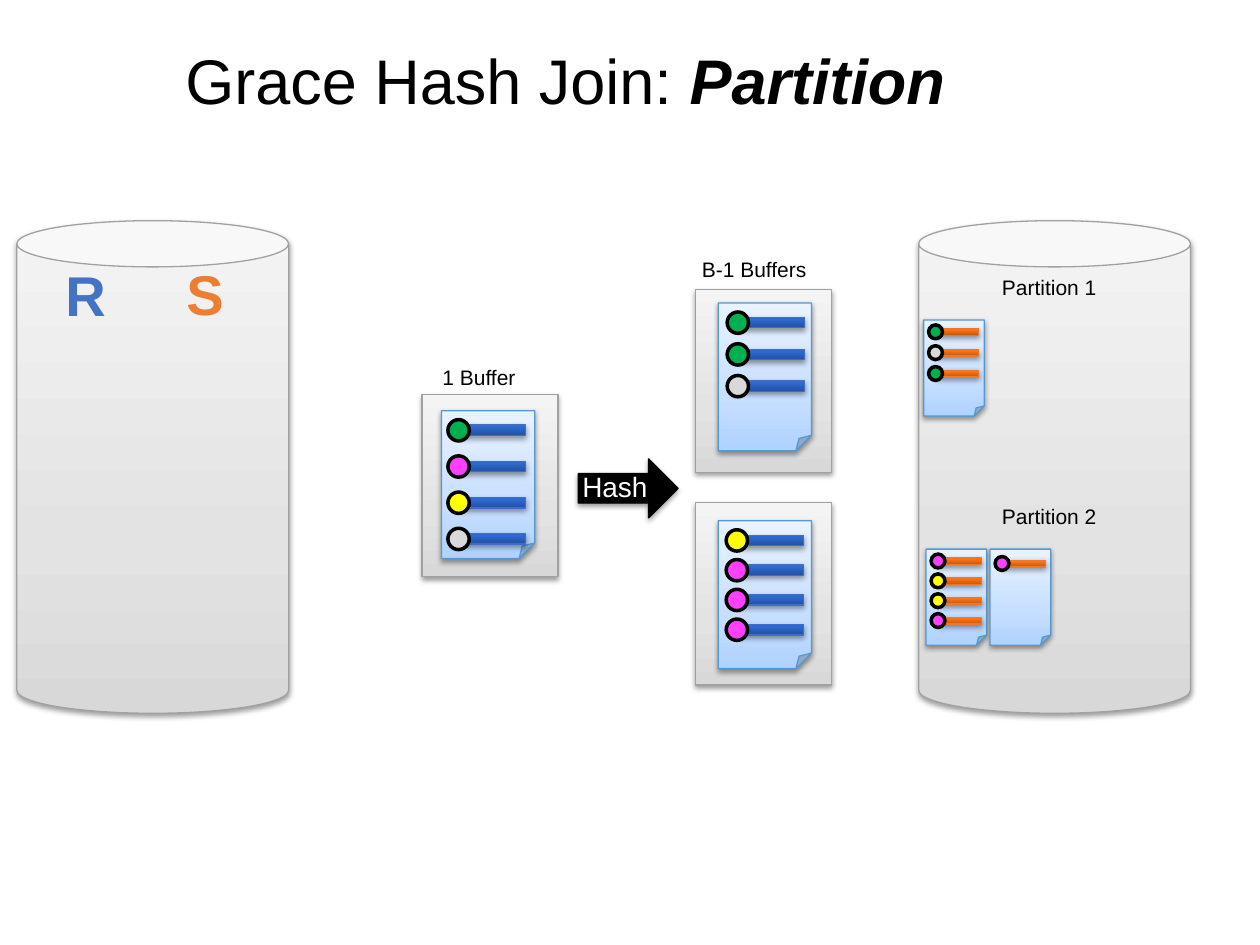
from lxml import etree
from pptx import Presentation
from pptx.dml.color import RGBColor
from pptx.enum.shapes import MSO_SHAPE
from pptx.enum.text import MSO_ANCHOR
from pptx.oxml.ns import qn
from pptx.util import Cm, Pt

CAN, RECT, OVAL = MSO_SHAPE.CAN, MSO_SHAPE.RECTANGLE, MSO_SHAPE.OVAL
PAGE, ARROW = MSO_SHAPE.FOLDED_CORNER, MSO_SHAPE.RIGHT_ARROW
MIDDLE = MSO_ANCHOR.MIDDLE
rgb = RGBColor.from_string

BLACK, WHITE = "000000", "FFFFFF"
GREEN, PINK, YELLOW, GRAY = "00B050", "FF40FF", "FFFF00", "D9D9D9"
# Each paint is gradient stops (percent, colour) from bottom to top, then the line colour
SILVER = [(0, "D8D8D8"), (35, "E3E3E3"), (100, "F4F4F4")], "A1A1A1"
PAPER = [(0, "AFD2FF"), (35, "C6DEFF"), (100, "E9F2FF")], "5698D3"
BLUE = [(0, "24509E"), (80, "2F69D0"), (100, "2C69D4")], "3F6EC3"
ORANGE = [(0, "C3580F"), (80, "FF7416"), (100, "FF7517")], "EC792B"

prs = Presentation()
prs.slide_width, prs.slide_height = Cm(25.4), Cm(19.05)
s = prs.slides.add_slide(prs.slide_layouts[6])


def add_shape(kind, x, y, w, h, paint, line_width=0.75, shadow=True):
    """Add a shape; paint is (fill, line), where fill is a colour or gradient stops."""
    fill, line = paint
    sp = s.shapes.add_shape(kind, Cm(x), Cm(y), Cm(w), Cm(h))
    sp.line.color.rgb = rgb(line)
    sp.line.width = Pt(line_width)
    if isinstance(fill, str):
        sp.fill.solid()
        sp.fill.fore_color.rgb = rgb(fill)
    else:
        sp.fill.gradient()
        sp.fill.gradient_angle = 90
        stops = sp.element.spPr.find(".//" + qn("a:gsLst"))
        stops.clear()
        for pos, color in fill:
            gs = etree.SubElement(stops, qn("a:gs"), pos=str(pos * 1000))
            etree.SubElement(gs, qn("a:srgbClr"), val=color)
    sp.shadow.inherit = False
    if shadow:
        effects = sp.element.spPr.find(qn("a:effectLst"))
        outer = etree.SubElement(effects, qn("a:outerShdw"), blurRad=str(Pt(3)),
                                 dist=str(Pt(1.6)), dir="5400000", rotWithShape="0")
        color = etree.SubElement(outer, qn("a:srgbClr"), val=BLACK)
        etree.SubElement(color, qn("a:alpha"), val="38000")
    return sp


def add_label(x, y, w, h, runs, size, color=BLACK, wrap=False):
    """Add a one-line text box; runs holds (text, bold, italic)."""
    tf = s.shapes.add_textbox(Cm(x), Cm(y), Cm(w), Cm(h)).text_frame
    tf.word_wrap = wrap
    tf.margin_left = tf.margin_right = tf.margin_top = tf.margin_bottom = Cm(0.13)
    tf.vertical_anchor = MIDDLE
    p = tf.paragraphs[0]
    for text, bold, italic in runs:
        r = p.add_run()
        r.text = text
        r.font.name, r.font.size = "Arial", Pt(size)
        r.font.bold, r.font.italic = bold, italic
        r.font.color.rgb = rgb(color)


# Disks
for x in (0.34, 18.52):
    sp = add_shape(CAN, x, 4.45, 5.48, 9.93, SILVER)
    sp.adjustments[0] = 0.17

# Memory buffers
for x, y in ((14.02, 5.84), (14.02, 10.13), (8.51, 7.95)):
    add_shape(RECT, x, y, 2.74, 3.68, SILVER)

# Pages: x, y, scale, bar paint, first dot's offset, row step, dot colours
pages = [
    (8.9, 8.28, 1, BLUE, 0.13, 0.18, 0.73, [GREEN, PINK, YELLOW, GRAY]),
    (14.48, 6.11, 1, BLUE, 0.18, 0.18, 0.64, [GREEN, GREEN, GRAY]),
    (14.48, 10.5, 1, BLUE, 0.16, 0.18, 0.6, [YELLOW, PINK, PINK, PINK]),
    (18.62, 6.45, 0.65, ORANGE, 0.1, 0.1, 0.42, [GREEN, GRAY, GREEN]),
    (18.67, 11.07, 0.65, ORANGE, 0.1, 0.1, 0.4, [PINK, YELLOW, YELLOW, PINK]),
    (19.96, 11.07, 0.65, ORANGE, 0.1, 0.15, 0.4, [PINK]),
]
for x, y, k, paint, dx, dy, step, dots in pages:
    add_shape(PAGE, x, y, 1.88 * k, 2.98 * k, PAPER)
    for i, color in enumerate(dots):
        dot_x, dot_y = x + dx, y + dy + i * step
        add_shape(RECT, dot_x + 0.24 * k, dot_y + 0.11 * k, 1.32 * k, 0.21 * k, paint)
        add_shape(OVAL, dot_x, dot_y, 0.43 * k, 0.43 * k, (color, BLACK), 2, shadow=False)

# Hash step
add_shape(ARROW, 11.66, 9.25, 2.01, 1.19, (BLACK, BLACK))
add_label(11.61, 9.37, 1.6, 0.86, [("Hash", False, False)], 16, WHITE)

# Title and captions
title = [("Grace Hash Join:", False, False), (" Partition", True, True)]
add_label(3.61, 0, 19.89, 3.18, title, 36, wrap=True)
for x, y, w, text in (
    (14.02, 5.05, 2.44, "B-1 Buffers"),
    (8.79, 7.24, 1.78, "1 Buffer"),
    (20.07, 5.41, 2.21, "Partition 1"),
    (20.07, 10.03, 2.21, "Partition 2"),
):
    add_label(x, y, w, 0.74, [(text, False, False)], 12)
add_label(1.19, 5.13, 1.09, 1.6, [("R", True, False)], 32, "4472C4")
add_label(3.63, 5.11, 1.02, 1.6, [("S", True, False)], 32, "ED7D31")

prs.save("out.pptx")
